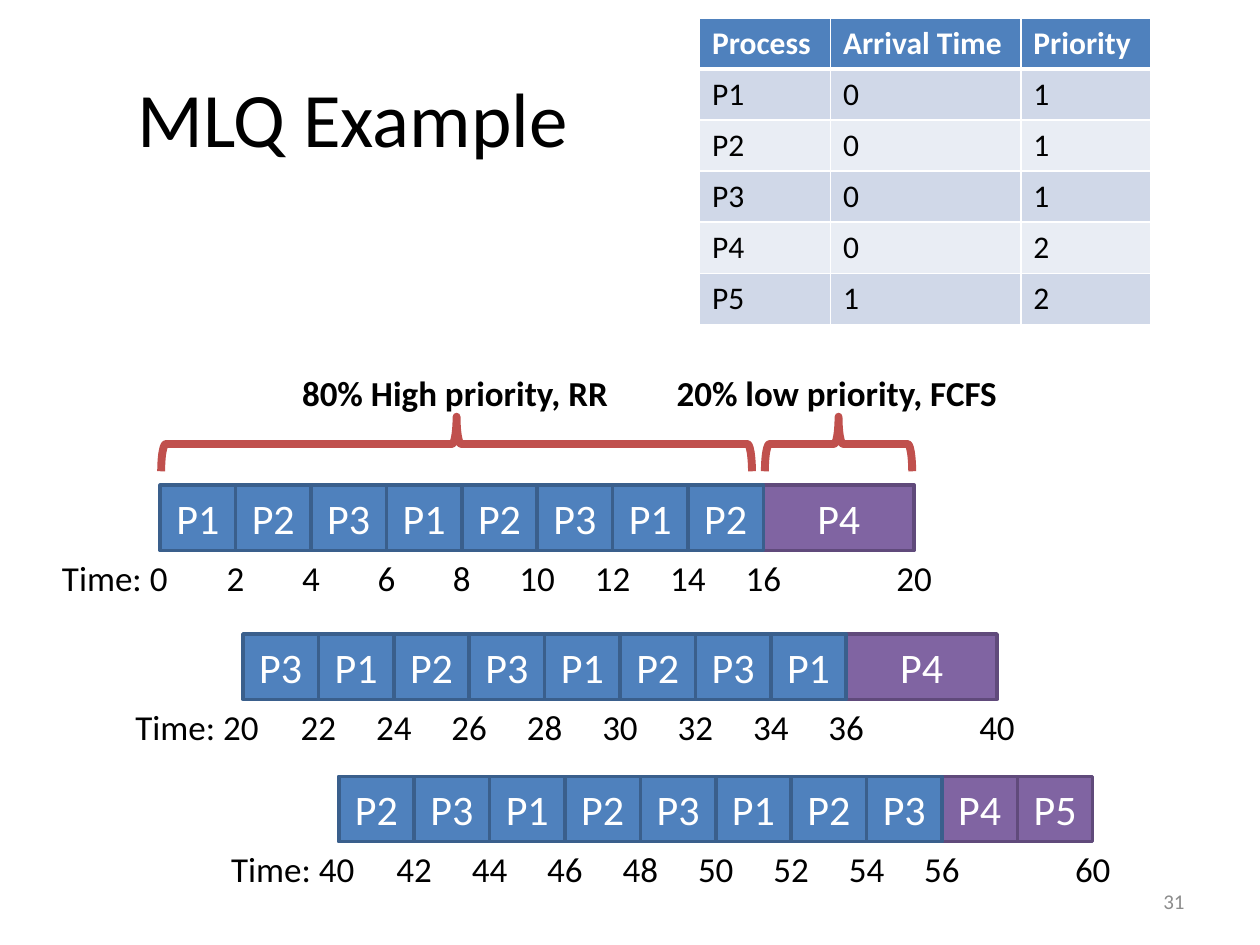
import pptx
import pptx.chart.data
import pptx.dml.color
import pptx.enum.shapes
import pptx.enum.text
import pptx.oxml
import pptx.oxml.ns
import pptx.util
from pptx.util import Cm

FONT = "Calibri"
STEP = 1.52  # width of one slice of two time units
TALL = 1.32
BLUE, PURPLE = ("4F81BD", "3A5F8C"), ("8064A2", "604A7B")
ALIGN = pptx.enum.text.PP_ALIGN
ANCHOR = pptx.enum.text.MSO_ANCHOR
SHAPE = pptx.enum.shapes.MSO_SHAPE

HEAD = ("Process", "Arrival Time", "Priority")
JOBS = [("P1", 0, 1), ("P2", 0, 1), ("P3", 0, 1), ("P4", 0, 2), ("P5", 1, 2)]

# left, top, first time, high priority slices, low priority slices
ROWS = [
    (3.23, 9.78, 0, "P1 P2 P3 P1 P2 P3 P1 P2", "P4"),
    (4.9, 12.78, 20, "P3 P1 P2 P3 P1 P2 P3 P1", "P4"),
    (6.83, 15.65, 40, "P2 P3 P1 P2 P3 P1 P2 P3", "P4 P5"),
]


def color(code):
    return pptx.dml.color.RGBColor.from_string(code)


def write(frame, words, size, ink="000000", bold=False, align=ALIGN.CENTER):
    para = frame.paragraphs[0]
    para.alignment = align
    run = para.add_run()
    run.text = words
    run.font.name = FONT
    run.font.size = pptx.util.Pt(size)
    run.font.bold = bold
    run.font.color.rgb = color(ink)


def add_text(shapes, box, words, size, wrap=False, anchor=ANCHOR.TOP, **style):
    frame = shapes.add_textbox(*map(Cm, box)).text_frame
    frame.word_wrap = wrap
    frame.vertical_anchor = anchor
    write(frame, words, size, **style)


def add_slice(shapes, left, top, wide, name, paint):
    fill, edge = paint
    bar = shapes.add_shape(SHAPE.RECTANGLE, *map(Cm, (left, top, wide, TALL)))
    bar.shadow.inherit = False
    bar.fill.solid()
    bar.fill.fore_color.rgb = color(fill)
    bar.line.color.rgb = color(edge)
    bar.line.width = pptx.util.Pt(2)
    bar.text_frame.vertical_anchor = ANCHOR.MIDDLE
    write(bar.text_frame, name, 24, "FFFFFF")


def add_brace(shapes, left, top, span):
    """Draw a brace that lies over a span and points up."""
    deep = 1.1
    mid_x, mid_y = left + span / 2, top + deep / 2
    box = (mid_x - deep / 2, mid_y - span / 2, deep, span)
    brace = shapes.add_shape(SHAPE.RIGHT_BRACE, *map(Cm, box))
    brace.rotation = 270
    brace.shadow.inherit = False
    brace.fill.background()
    brace.line.color.rgb = color("C0504D")
    brace.line.width = pptx.util.Pt(4.5)


def add_chain(shapes, left, top, start, high, low):
    """Draw one row of slices with its time marks."""
    group = shapes.add_group_shape().shapes
    high, low = high.split(), low.split()
    edge = left + len(high) * STEP
    wide = 2 * STEP / len(low)
    for i, name in enumerate(low):
        add_slice(group, edge + i * wide, top, wide, name, PURPLE)
    for i, name in enumerate(high):
        add_slice(group, left + i * STEP, top, STEP, name, BLUE)

    base = top + TALL
    for i in (0, 1, 2, 3, 4, 5, 6, 7, 8, 10):
        mark = str(start + 2 * i)
        half = 0.43 if len(mark) == 1 else 0.62
        right = left + i * STEP + half
        wide, align = 2 * half, ALIGN.CENTER
        if i == 0:
            mark = "Time: " + mark
            wide, align = wide + 1.8, ALIGN.LEFT
        add_text(group, (right - wide, base, wide, 1.12), mark, 20, align=align)


def add_border(cell, side, width):
    space = pptx.oxml.ns.nsdecls("a")
    line = pptx.oxml.parse_xml(
        f'<a:ln{side} {space} w="{pptx.util.Pt(width)}"><a:solidFill>'
        f'<a:srgbClr val="FFFFFF"/></a:solidFill></a:ln{side}>'
    )
    cell._tc.get_or_add_tcPr().append(line)


def add_jobs(shapes):
    rows = [HEAD] + JOBS
    box = map(Cm, (14.1, 0.36, 9.09, 6.18))
    table = shapes.add_table(len(rows), len(HEAD), *box).table
    table.horz_banding = False
    for col, wide in zip(table.columns, (2.64, 3.84, 2.61)):
        col.width = Cm(wide)
    for r, row in enumerate(rows):
        table.rows[r].height = Cm(1.03)
        fill = "4F81BD" if r == 0 else ("E9EDF4", "D0D8E8")[r % 2]
        ink = "FFFFFF" if r == 0 else "000000"
        for c, value in enumerate(row):
            cell = table.cell(r, c)
            for side in "LRTB":
                thick = (r, side) in ((0, "B"), (1, "T"))
                add_border(cell, side, 3 if thick else 1)
            cell.fill.solid()
            cell.fill.fore_color.rgb = color(fill)
            write(cell.text_frame, str(value), 18, ink, r == 0, ALIGN.LEFT)


def main():
    deck = pptx.Presentation()
    deck.slide_width, deck.slide_height = Cm(25.4), Cm(19.05)
    shapes = deck.slides.add_slide(deck.slide_layouts[6]).shapes

    add_text(shapes, (1.27, 0.76, 11.68, 3.18), "MLQ Example", 44,
             wrap=True, anchor=ANCHOR.MIDDLE)
    add_text(shapes, (18.21, 17.65, 5.92, 1.02), "31", 12, wrap=True,
             anchor=ANCHOR.MIDDLE, ink="8C8C8C", align=ALIGN.RIGHT)
    add_jobs(shapes)
    for row in ROWS:
        add_chain(shapes, *row)

    add_brace(shapes, 3.25, 8.4, 11.91)
    add_text(shapes, (5.84, 7.37, 6.73, 1.12), "80% High priority, RR", 20,
             bold=True, align=ALIGN.LEFT)
    add_brace(shapes, 15.42, 8.4, 2.97)
    add_text(shapes, (13.39, 7.37, 7.01, 1.12), "20% low priority, FCFS", 20,
             bold=True, align=ALIGN.LEFT)
    deck.save("out.pptx")


if __name__ == "__main__":
    main()
